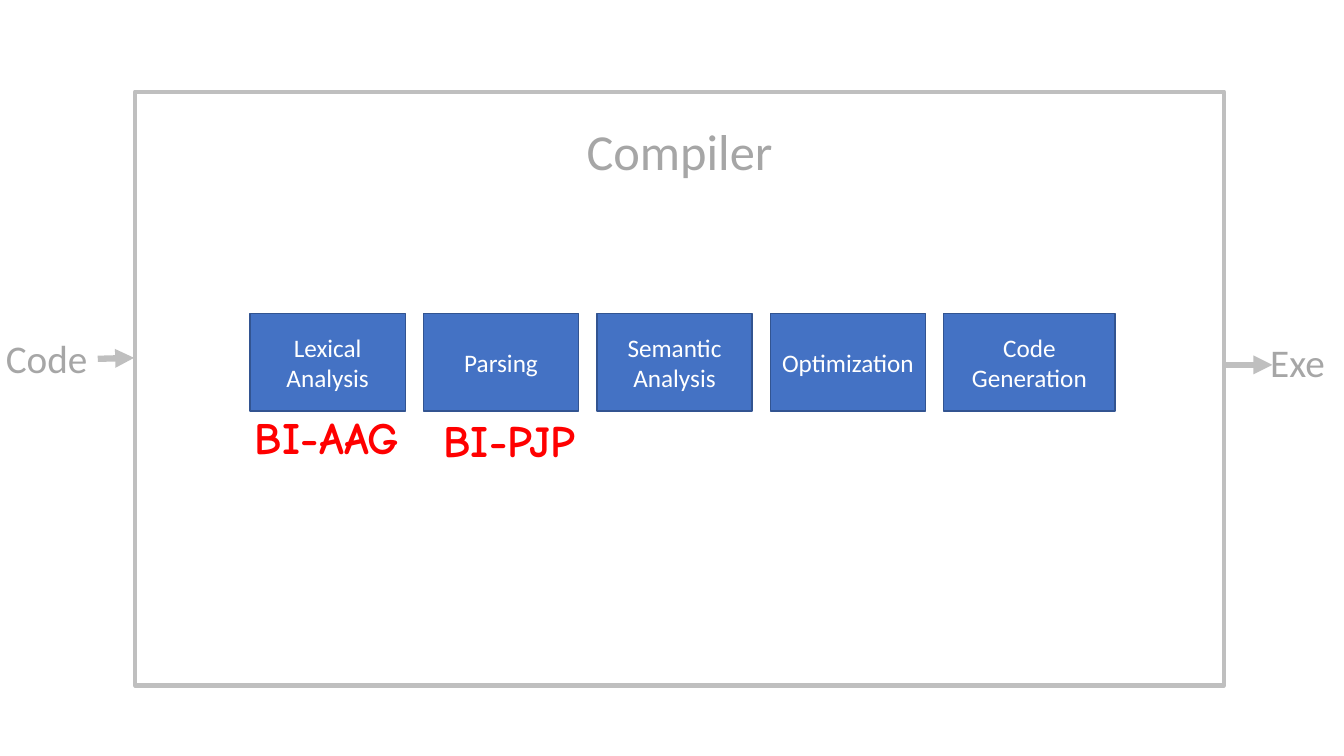
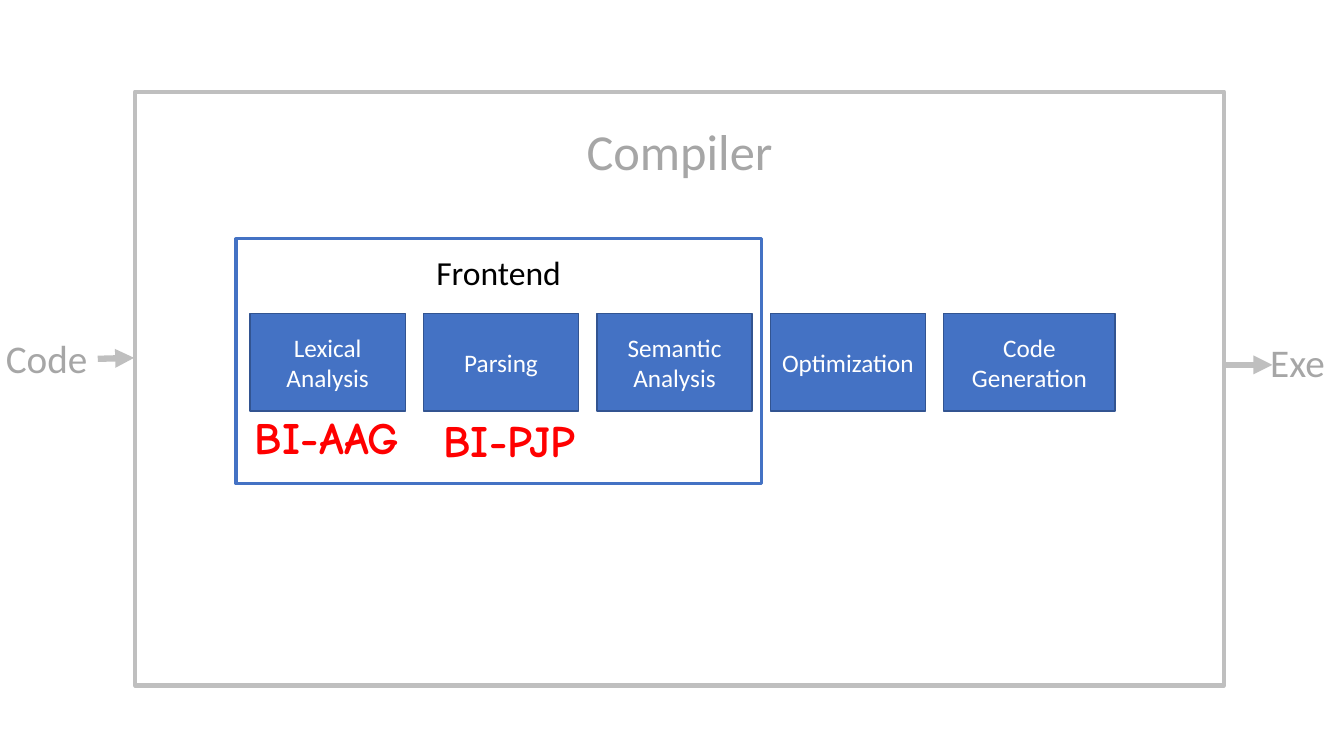
from pptx import Presentation
from pptx.dml.color import RGBColor
from pptx.enum.shapes import MSO_CONNECTOR, MSO_SHAPE
from pptx.enum.text import MSO_ANCHOR as ANCHOR, MSO_AUTO_SIZE as AUTO_SIZE, PP_ALIGN as ALIGN
from pptx.oxml.ns import qn
from pptx.util import Inches, Pt
from lxml.etree import SubElement

FRAME_GRAY, TEXT_GRAY = "BFBFBF", "A6A6A6"
BLUE, DARK_BLUE = "4472C4", "325491"
WHITE, BLACK, RED = "FFFFFF", "000000", "FF0000"
BODY_FONT, NOTE_FONT = "Calibri", "Comic Neue"

PHASES = ["Lexical Analysis", "Parsing", "Semantic Analysis",
          "Optimization", "Code Generation"]
PHASE_LEFT, PHASE_TOP, PHASE_PITCH = 2.48, 3.11, 1.72
PHASE_WIDTH, LAST_PHASE_WIDTH, PHASE_HEIGHT = 1.54, 1.7, 0.97


def rgb(hex_code):
    """Turn a hex string into a colour."""
    return RGBColor.from_string(hex_code)


def write(shape, text, size, color, font=BODY_FONT):
    """Put one paragraph into a shape and return it."""
    paragraph = shape.text_frame.paragraphs[0]
    paragraph.text = text
    paragraph.font.name = font
    paragraph.font.size = Pt(size)
    paragraph.font.color.rgb = rgb(color)
    return paragraph


def add_box(slide, bounds, text, size, color, fill, line, line_width, top_inset=None):
    """Add a rectangle with centred text, at the top if an inset is given."""
    box = slide.shapes.add_shape(MSO_SHAPE.RECTANGLE, *map(Inches, bounds))
    box.shadow.inherit = False
    if fill:
        box.fill.solid()
        box.fill.fore_color.rgb = rgb(fill)
    else:
        box.fill.background()
    box.line.color.rgb = rgb(line)
    box.line.width = Pt(line_width)
    frame = box.text_frame
    frame.word_wrap = True
    frame.vertical_anchor = ANCHOR.MIDDLE
    if top_inset is not None:
        frame.vertical_anchor = ANCHOR.TOP
        frame.margin_top = Inches(top_inset)
    write(box, text, size, color).alignment = ALIGN.CENTER


def add_endpoint(slide, bounds, text):
    """Add the gray name of what enters or leaves the compiler."""
    endpoint = slide.shapes.add_textbox(*map(Inches, bounds))
    endpoint.text_frame.word_wrap = False
    endpoint.text_frame.auto_size = AUTO_SIZE.SHAPE_TO_FIT_TEXT
    write(endpoint, text, 28, TEXT_GRAY)


def add_course(slide, left, top, text):
    """Add a red course code under a phase."""
    course = slide.shapes.add_textbox(*map(Inches, (left, top, 2.41, 0.81)))
    course.text_frame.word_wrap = True
    paragraph = write(course, text, 32, RED, NOTE_FONT)
    paragraph.font.bold = True
    paragraph.line_spacing = 0.9
    paragraph.space_before = Pt(10)


def add_arrow(slide, start, end):
    """Add a thick gray arrow between two points."""
    arrow = slide.shapes.add_connector(
        MSO_CONNECTOR.STRAIGHT, *map(Inches, start + end))
    arrow.line.color.rgb = rgb(FRAME_GRAY)
    arrow.line.width = Pt(4.5)
    SubElement(arrow.line._get_or_add_ln(), qn("a:tailEnd"), type="triangle")
    SubElement(arrow._element.spPr, qn("a:effectLst"))


def add_pipeline_slide(prs):
    """Add a slide with the compiler, its phases and the courses."""
    slide = prs.slides.add_slide(prs.slide_layouts[6])
    add_box(slide, (1.34, 0.91, 10.8, 5.89), "Compiler", 36, TEXT_GRAY,
            WHITE, FRAME_GRAY, 3, top_inset=0.28)
    add_arrow(slide, (0.97, 3.56), (1.33, 3.55))
    add_endpoint(slide, (-0.04, 3.27, 1.02, 0.57), "Code")
    add_endpoint(slide, (12.5, 3.31, 0.75, 0.57), "Exe")
    add_arrow(slide, (12.14, 3.62), (12.62, 3.62))
    for index, phase in enumerate(PHASES):
        width = LAST_PHASE_WIDTH if phase == PHASES[-1] else PHASE_WIDTH
        bounds = (PHASE_LEFT + index * PHASE_PITCH, PHASE_TOP, width, PHASE_HEIGHT)
        add_box(slide, bounds, phase, 18, WHITE, BLUE, DARK_BLUE, 1)
    add_course(slide, 2.43, 4.08, "BI-AAG")
    add_course(slide, 4.3, 4.11, "BI-PJP")
    return slide


def main():
    """Build the plain pipeline, then the one with the frontend marked."""
    prs = Presentation()
    prs.slide_width, prs.slide_height = Inches(13.33), Inches(7.5)
    add_pipeline_slide(prs)
    frontend_slide = add_pipeline_slide(prs)
    add_box(frontend_slide, (2.34, 2.37, 5.21, 2.43), "Frontend", 24, BLACK,
            None, BLUE, 2.25, top_inset=0.13)
    prs.save("out.pptx")


main()
